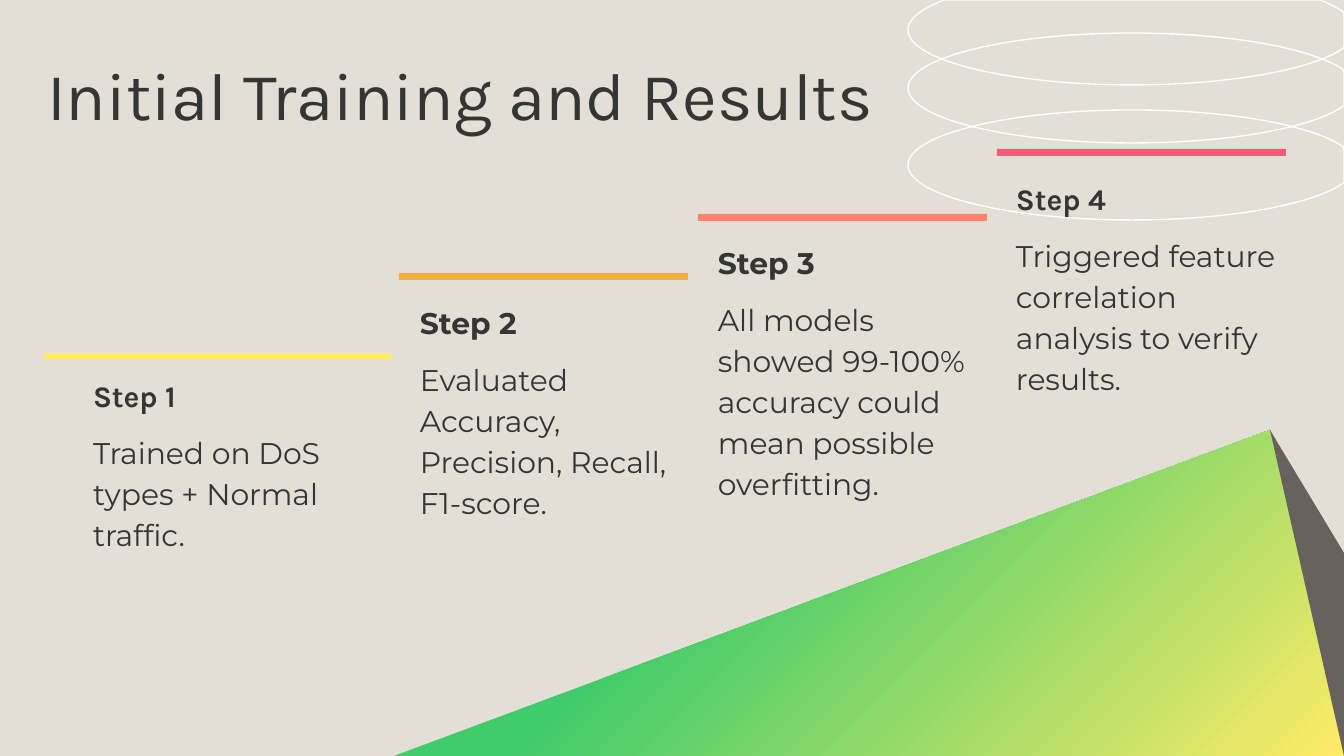
import math
import pptx
import pptx.util
import pptx.dml.color
import pptx.enum.shapes
import pptx.enum.text

# Content, with lengths in px
WIDTH, HEIGHT = 1344, 756
PX = 914400 / 134.4
INK = "353535"

TITLE = "Initial Training and Results"
TITLE_BOX = (34, 48, 985, 101)

BAR_HEIGHT = 7
STEPS = [
    {"heading": "Step 1", "body": "Trained on DoS types + Normal traffic.",
     "font": "Karla", "color": "FFEB67",
     "bar": (44, 353, 347), "box": (74, 353, 288, 247)},
    {"heading": "Step 2", "body": "Evaluated Accuracy, Precision, Recall, F1-score.",
     "font": "Montserrat", "color": "F0B03B",
     "bar": (399, 273, 289), "box": (401, 280, 288, 247)},
    {"heading": "Step 3", "body": "All models showed 99-100% accuracy could mean possible overfitting.",
     "font": "Montserrat", "color": "FF866D",
     "bar": (698, 214, 289), "box": (699, 220, 298, 247)},
    {"heading": "Step 4", "body": "Triggered feature correlation analysis to verify results.",
     "font": "Karla", "color": "FF5777",
     "bar": (997, 149, 289), "box": (997, 156, 313, 266)},
]

# Overlapping rings, top to bottom
RING_X, RING_RX, RING_RY = 1132, 224, 55
RING_CENTERS = [30, 88, 165]

APEX = (1270, 430)
PYRAMID_FRONT = [APEX, (WIDTH, HEIGHT), (394, HEIGHT)]
PYRAMID_SIDE = [APEX, (WIDTH, HEIGHT), (WIDTH, 553)]


def emu(px):
    return pptx.util.Emu(round(px * PX))


def rgb(color):
    return pptx.dml.color.RGBColor.from_string(color)


presentation = pptx.Presentation()
presentation.slide_width, presentation.slide_height = emu(WIDTH), emu(HEIGHT)
slide = presentation.slides.add_slide(presentation.slide_layouts[6])
slide.background.fill.solid()
slide.background.fill.fore_color.rgb = rgb("E3DFD6")


def add_outline(points):
    corners = [(emu(x), emu(y)) for x, y in points]
    builder = slide.shapes.build_freeform(*corners[0], scale=1.0)
    builder.add_line_segments(corners[1:], close=True)
    outline = builder.convert_to_shape()
    outline.shadow.inherit = False
    return outline


def arc(center, start, end, steps=32):
    """Points on a ring between two angles, kept inside the slide's right edge."""
    angles = [start + (end - start) * i / steps for i in range(steps + 1)]
    return [(min(RING_X + RING_RX * math.cos(a), WIDTH), center + RING_RY * math.sin(a))
            for a in angles]


def angle_at(y, center):
    return math.asin((y - center) / RING_RY)


def add_text(box, inset, anchor):
    frame = slide.shapes.add_textbox(*map(emu, box)).text_frame
    frame.word_wrap = True
    frame.vertical_anchor = anchor
    frame.margin_left = frame.margin_right = emu(inset)
    frame.margin_top = frame.margin_bottom = emu(inset)
    return frame


def style(paragraph, text, font, size, spacing, bold=False):
    paragraph.text = text
    paragraph.line_spacing = spacing
    paragraph.font.name = font
    paragraph.font.size = pptx.util.Pt(size)
    paragraph.font.bold = bold
    paragraph.font.color.rgb = rgb(INK)


# Rings: neighbours meet halfway between their centres
meetings = [(a + b) / 2 for a, b in zip(RING_CENTERS, RING_CENTERS[1:])]
limits = [0, *meetings, RING_CENTERS[-1] + RING_RY]
for i, center in enumerate(RING_CENTERS):
    top, bottom = limits[i], limits[i + 1]
    upper, lower = angle_at(top, center), angle_at(bottom, center)
    points = arc(center, math.pi - upper, math.pi - lower)
    if i + 1 < len(RING_CENTERS):
        below = RING_CENTERS[i + 1]
        meet = angle_at(bottom, below)
        points += arc(below, math.pi - meet, 2 * math.pi + meet)
    points += arc(center, lower, upper)
    if i > 0:
        above = RING_CENTERS[i - 1]
        meet = angle_at(top, above)
        points += arc(above, meet, math.pi - meet)
    ring = add_outline(points)
    ring.fill.background()
    ring.line.color.rgb = rgb("FFFFFF")
    ring.line.width = pptx.util.Pt(0.75)

# Pyramid
front = add_outline(PYRAMID_FRONT)
front.line.fill.background()
front.fill.gradient()
front.fill.gradient_angle = 315
for stop, (position, color) in zip(front.fill.gradient_stops, [(0.35, "41CC6B"), (1, "FFEB67")]):
    stop.position = position
    stop.color.rgb = rgb(color)
side = add_outline(PYRAMID_SIDE)
side.line.fill.background()
side.fill.solid()
side.fill.fore_color.rgb = rgb("69615E")

# Title
title = add_text(TITLE_BOX, 13, pptx.enum.text.MSO_ANCHOR.MIDDLE)
style(title.paragraphs[0], TITLE, "Karla", 36, 0.9)

# Steps: text under a coloured bar
for step in STEPS:
    note = add_text(step["box"], 19, pptx.enum.text.MSO_ANCHOR.TOP)
    style(note.paragraphs[0], step["heading"], step["font"], 16, 1.15, bold=True)
    body = note.add_paragraph()
    style(body, step["body"], "Montserrat", 16, 1.15)
    body.space_before = body.space_after = pptx.util.Pt(8.5)

    bar = slide.shapes.add_shape(pptx.enum.shapes.MSO_SHAPE.RECTANGLE,
                                 *map(emu, (*step["bar"], BAR_HEIGHT)))
    bar.shadow.inherit = False
    bar.fill.solid()
    bar.fill.fore_color.rgb = rgb(step["color"])
    bar.line.fill.background()

presentation.save("out.pptx")
